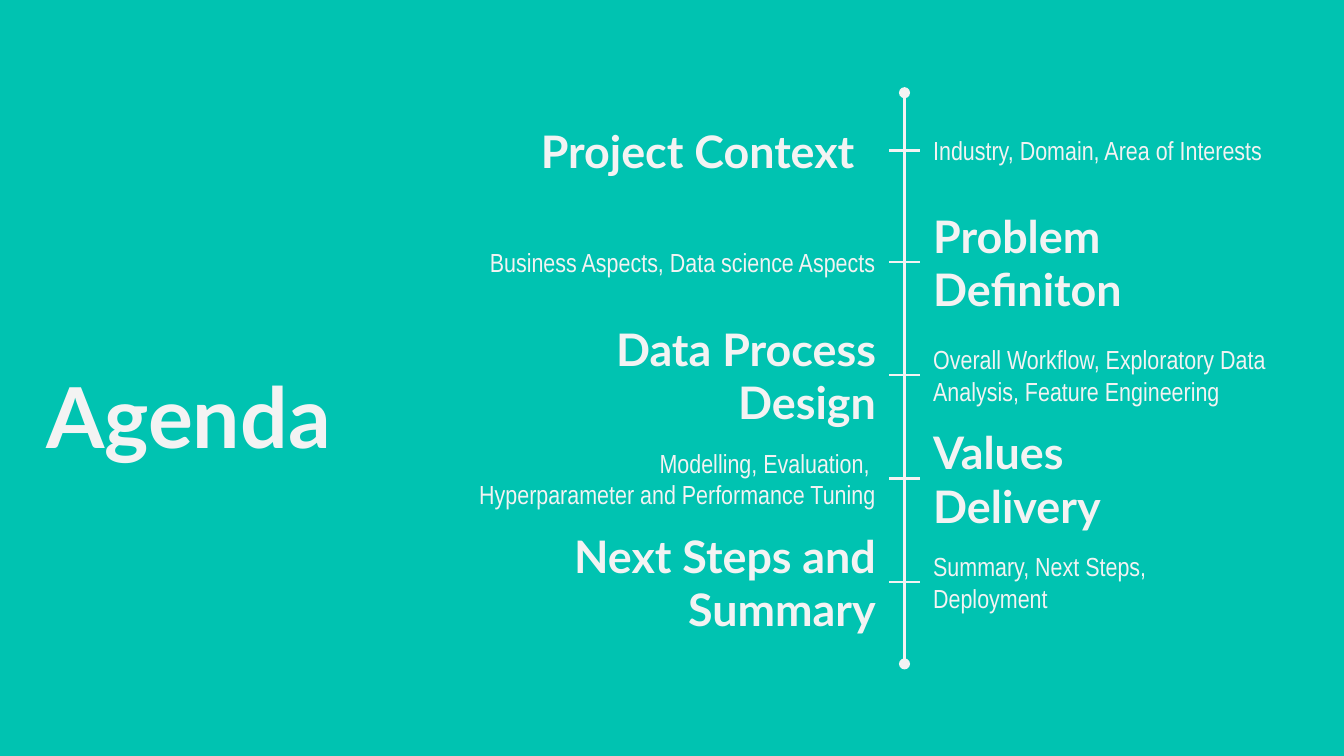
from lxml import etree
from pptx import Presentation
from pptx.dml.color import RGBColor
from pptx.enum.shapes import MSO_CONNECTOR
from pptx.enum.text import MSO_ANCHOR, MSO_AUTO_SIZE, PP_ALIGN
from pptx.oxml.ns import qn
from pptx.util import Inches, Pt

TEAL = RGBColor(0x00, 0xC3, 0xB1)
OFF_WHITE = RGBColor(0xF3, 0xF3, 0xF3)
HEADING = ("Lato", 24, True)
DETAIL = ("Arial Narrow", 14, False)
LEFT, RIGHT = PP_ALIGN.LEFT, PP_ALIGN.RIGHT
TOP, MIDDLE = MSO_ANCHOR.TOP, MSO_ANCHOR.MIDDLE
NO_AUTOFIT = MSO_AUTO_SIZE.NONE
STRAIGHT = MSO_CONNECTOR.STRAIGHT

ROW_H = 0.69
TICK_W = 0.23

# Row centre from the top of the axis, then width, alignment, style and lines
# of the left and right text
ROWS = [
    (0.43, (2.69, LEFT, HEADING, ["Project Context"]),
           (3.57, LEFT, DETAIL, ["Industry, Domain, Area of Interests"])),
    (1.26, (3.57, RIGHT, DETAIL, ["Business Aspects, Data science Aspects"]),
           (2.69, LEFT, HEADING, ["Problem Definiton"])),
    (2.10, (3.19, RIGHT, HEADING, ["Data Process Design"]),
           (3.08, LEFT, DETAIL, ["Overall Workflow, Exploratory Data Analysis, "
                                 "Feature Engineering"])),
    (2.87, (3.64, RIGHT, DETAIL, ["Modelling, Evaluation, ",
                                  "Hyperparameter and Performance Tuning"]),
           (2.38, LEFT, HEADING, ["Values Delivery"])),
    (3.64, (3.74, RIGHT, HEADING, ["Next Steps and Summary"]),
           (2.26, LEFT, DETAIL, ["Summary, Next Steps, Deployment"])),
]


def fill_text(sp, lines, style, align, anchor):
    font, size, bold = style
    tf = sp.text_frame
    tf.word_wrap = True
    tf.auto_size = NO_AUTOFIT
    tf.vertical_anchor = anchor
    tf.margin_left = tf.margin_right = Inches(0.1)
    tf.margin_top = tf.margin_bottom = Inches(0.1)
    for i, line in enumerate(lines):
        p = tf.add_paragraph() if i else tf.paragraphs[0]
        p.alignment = align
        p.line_spacing = 1.0
        r = p.add_run()
        r.text = line
        r.font.name = font
        r.font.size = Pt(size)
        r.font.bold = bold
        r.font.color.rgb = OFF_WHITE


def add_line(s, x1, y1, x2, y2, oval_ends=False):
    c = s.shapes.add_connector(STRAIGHT, Inches(x1), Inches(y1),
                               Inches(x2), Inches(y2))
    c.line.color.rgb = OFF_WHITE
    c.line.width = Pt(1.5)
    if oval_ends:
        ln = c._element.spPr.find(qn("a:ln"))
        for end in ("a:headEnd", "a:tailEnd"):
            etree.SubElement(ln, qn(end), type="oval")
    etree.SubElement(c._element.spPr, qn("a:effectLst"))


def add_title(s, x, y, w, h):
    title = s.shapes.title
    title.left, title.top = Inches(x), Inches(y)
    title.width, title.height = Inches(w), Inches(h)
    fill_text(title, ["Agenda"], ("Lato", 45, True), RIGHT, TOP)


def add_timeline(s, x, y, h):
    # Axis with round ends
    add_line(s, x, y, x, y + h, oval_ends=True)
    tick_left = x - TICK_W / 2
    tick_right = x + TICK_W / 2
    for offset, left_text, right_text in ROWS:
        # Tick across the axis
        centre = y + offset
        add_line(s, tick_left, centre, tick_right, centre)
        # Heading and detail on either side
        for text, is_left in ((left_text, True), (right_text, False)):
            w, align, style, lines = text
            box_x = tick_left - w if is_left else tick_right
            sp = s.shapes.add_textbox(Inches(box_x), Inches(centre - ROW_H / 2),
                                      Inches(w), Inches(ROW_H))
            fill_text(sp, lines, style, align, MIDDLE)


def main():
    prs = Presentation()
    # 16:9 slide
    prs.slide_width = Inches(10)
    prs.slide_height = prs.slide_width * 9 // 16
    s = prs.slides.add_slide(prs.slide_layouts[5])
    s.background.fill.solid()
    s.background.fill.fore_color.rgb = TEAL
    add_title(s, -0.46, 2.61, 3.02, 1.89)
    add_timeline(s, 6.73, 0.69, 4.25)
    prs.save("out.pptx")


if __name__ == "__main__":
    main()
